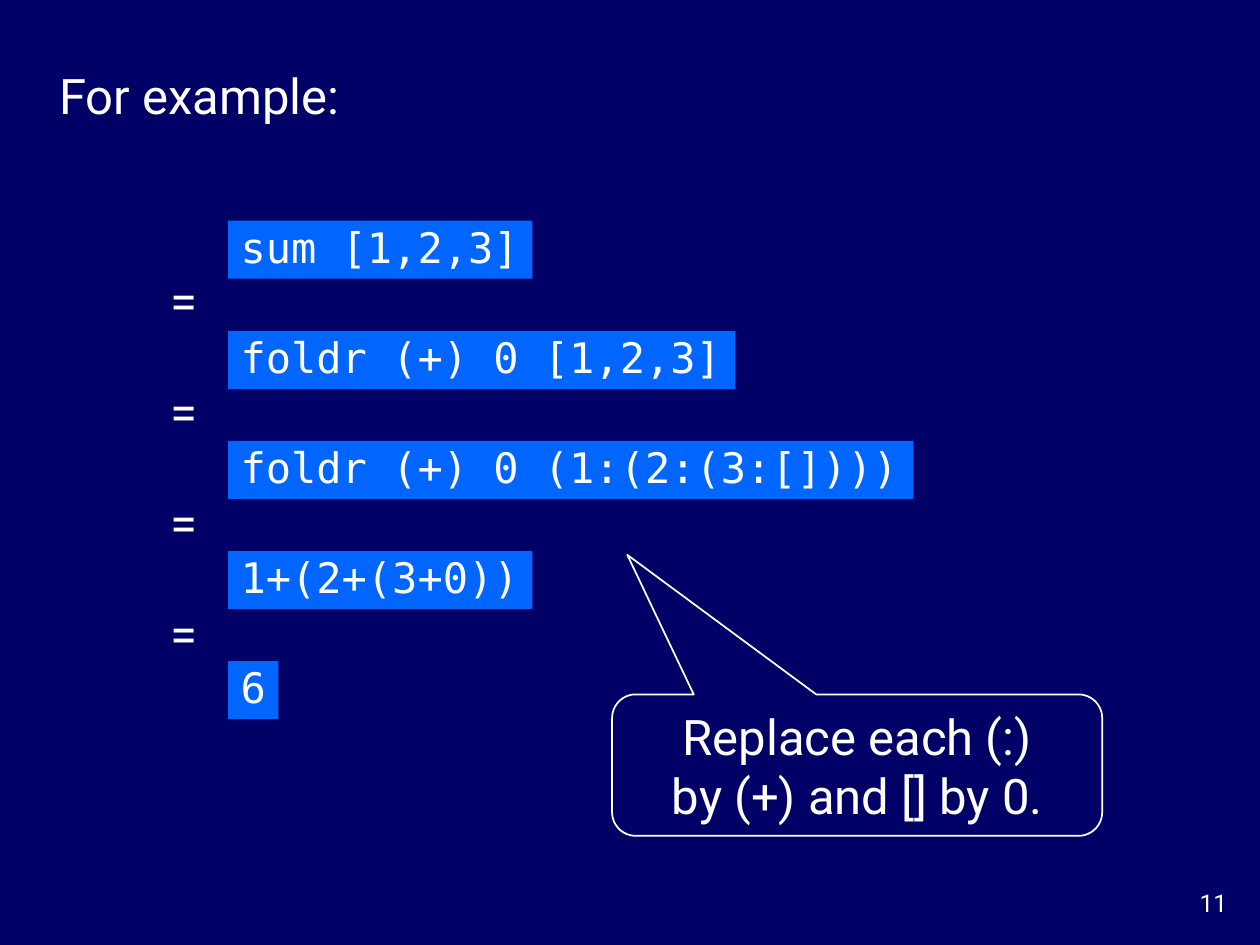
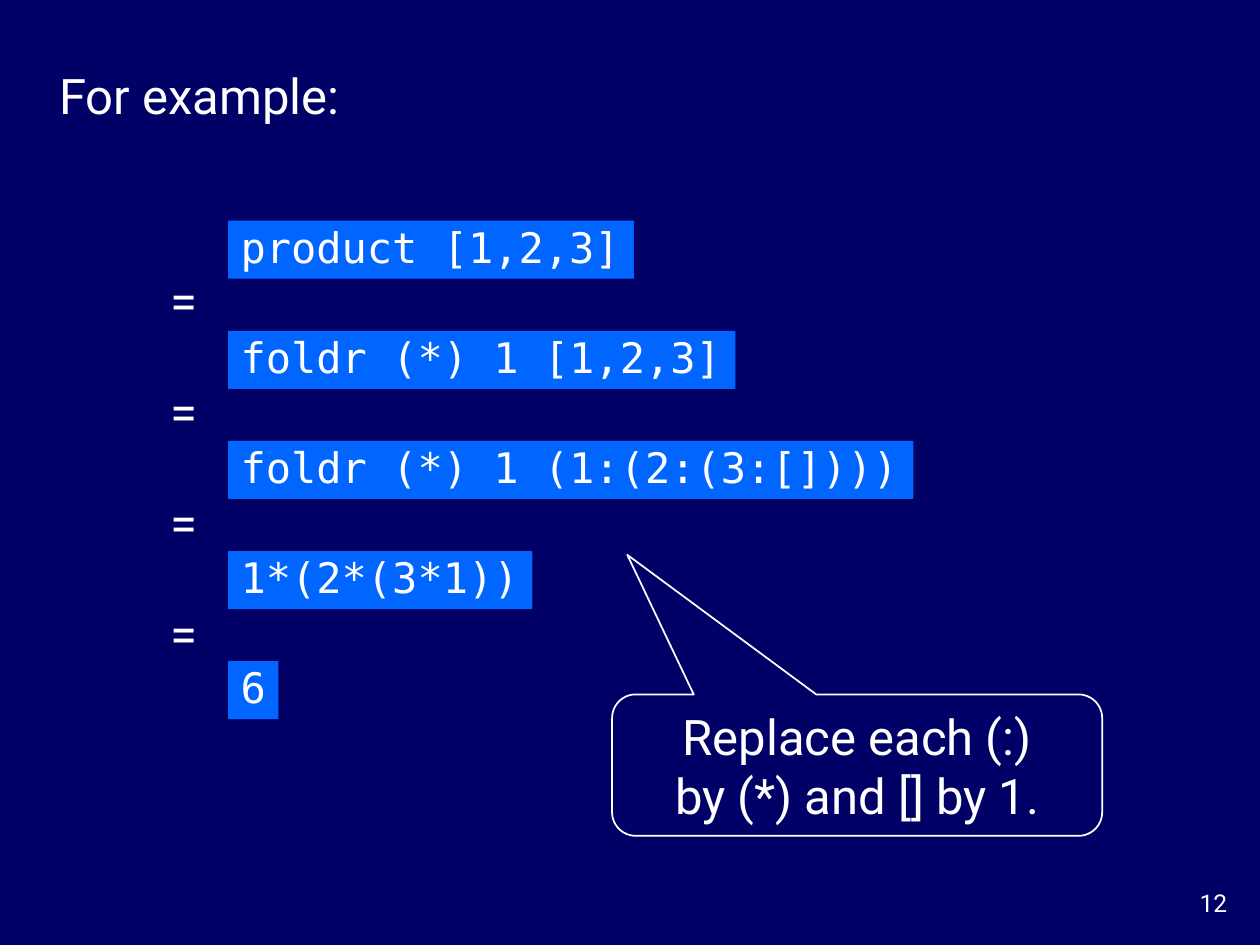
from pptx import Presentation
from pptx.dml.color import RGBColor
from pptx.enum.shapes import MSO_SHAPE
from pptx.enum.text import MSO_ANCHOR, MSO_AUTO_SIZE, PP_ALIGN
from pptx.util import Cm, Pt

RECT = MSO_SHAPE.RECTANGLE
CALLOUT = MSO_SHAPE.ROUNDED_RECTANGULAR_CALLOUT
MIDDLE, TOP = MSO_ANCHOR.MIDDLE, MSO_ANCHOR.TOP
LEFT, CENTER, RIGHT = PP_ALIGN.LEFT, PP_ALIGN.CENTER, PP_ALIGN.RIGHT
NO_AUTOFIT = MSO_AUTO_SIZE.NONE

NAVY = RGBColor(0x00, 0x00, 0x66)
BLUE = RGBColor(0x00, 0x66, 0xFF)
WHITE = RGBColor(0xFF, 0xFF, 0xFF)
SANS, MONO = "Roboto", "DejaVu Sans Mono"

# Code boxes, in centimetres: their width follows the number of characters
CODE_LEFT, CODE_TOP, CODE_HEIGHT = 4.6, 4.45, 1.17
CODE_PITCH, CHAR_WIDTH, CODE_PADDING = 2.22, 0.512, 0.5
EQUALS_TOP, EQUALS_PITCH = 5.33, 2.235

FIRST_NUMBER = 11
EXAMPLES = [
    (["sum [1,2,3]", "foldr (+) 0 [1,2,3]", "foldr (+) 0 (1:(2:(3:[])))",
      "1+(2+(3+0))", "6"],
     "Replace each (:)\nby (+) and [] by 0."),
    (["product [1,2,3]", "foldr (*) 1 [1,2,3]", "foldr (*) 1 (1:(2:(3:[])))",
      "1*(2*(3*1))", "6"],
     "Replace each (:)\nby (*) and [] by 1."),
]


def set_text(sp, text, size=28, font=SANS, align=LEFT, anchor=MIDDLE,
             wrap=True, spacing=None):
    """Write white text into a shape and format all its paragraphs."""
    tf = sp.text_frame
    tf.text = text
    tf.word_wrap = wrap
    tf.auto_size = NO_AUTOFIT
    tf.vertical_anchor = anchor
    for p in tf.paragraphs:
        p.alignment = align
        p.line_spacing = spacing
        for r in p.runs:
            r.font.name = font
            r.font.size = Pt(size)
            r.font.color.rgb = WHITE


prs = Presentation()
prs.slide_width, prs.slide_height = Cm(25.4), Cm(19.05)
bg = prs.slide_master.background.fill
bg.solid()
bg.fore_color.rgb = NAVY
title_only = prs.slide_layouts[5]

for number, (steps, hint) in enumerate(EXAMPLES, FIRST_NUMBER):
    s = prs.slides.add_slide(title_only)

    title = s.shapes.title
    title.left, title.top = Cm(0.94), Cm(1.19)
    title.width, title.height = Cm(22.5), Cm(1.45)
    set_text(title, "For example:")

    sp = s.shapes.add_textbox(Cm(23.29), Cm(17.78), Cm(1.7), Cm(0.84))
    set_text(sp, str(number), size=14, align=RIGHT, anchor=TOP)

    # The derivation: every step after the first is grouped with its "="
    for i, code in enumerate(steps):
        shapes = s.shapes.add_group_shape().shapes if i else s.shapes
        sp = shapes.add_shape(
            RECT, Cm(CODE_LEFT), Cm(CODE_TOP + i * CODE_PITCH),
            Cm(CODE_PADDING + len(code) * CHAR_WIDTH), Cm(CODE_HEIGHT))
        sp.shadow.inherit = False
        sp.fill.solid()
        sp.fill.fore_color.rgb = BLUE
        sp.line.fill.background()
        set_text(sp, code, size=24, font=MONO, wrap=False, spacing=0.9)
        if i:
            sp = shapes.add_textbox(
                Cm(3.1), Cm(EQUALS_TOP + (i - 1) * EQUALS_PITCH),
                Cm(1.22), Cm(1.45))
            set_text(sp, "=", align=CENTER, wrap=False)

    sp = s.shapes.add_shape(CALLOUT, Cm(12.34), Cm(14), Cm(9.88), Cm(2.85))
    for i, value in enumerate((-0.469, -1.488, 0.167)):
        sp.adjustments[i] = value
    sp.shadow.inherit = False
    sp.fill.background()
    sp.line.color.rgb = WHITE
    sp.line.width = Pt(1)
    set_text(sp, hint, align=CENTER)

prs.save("out.pptx")
